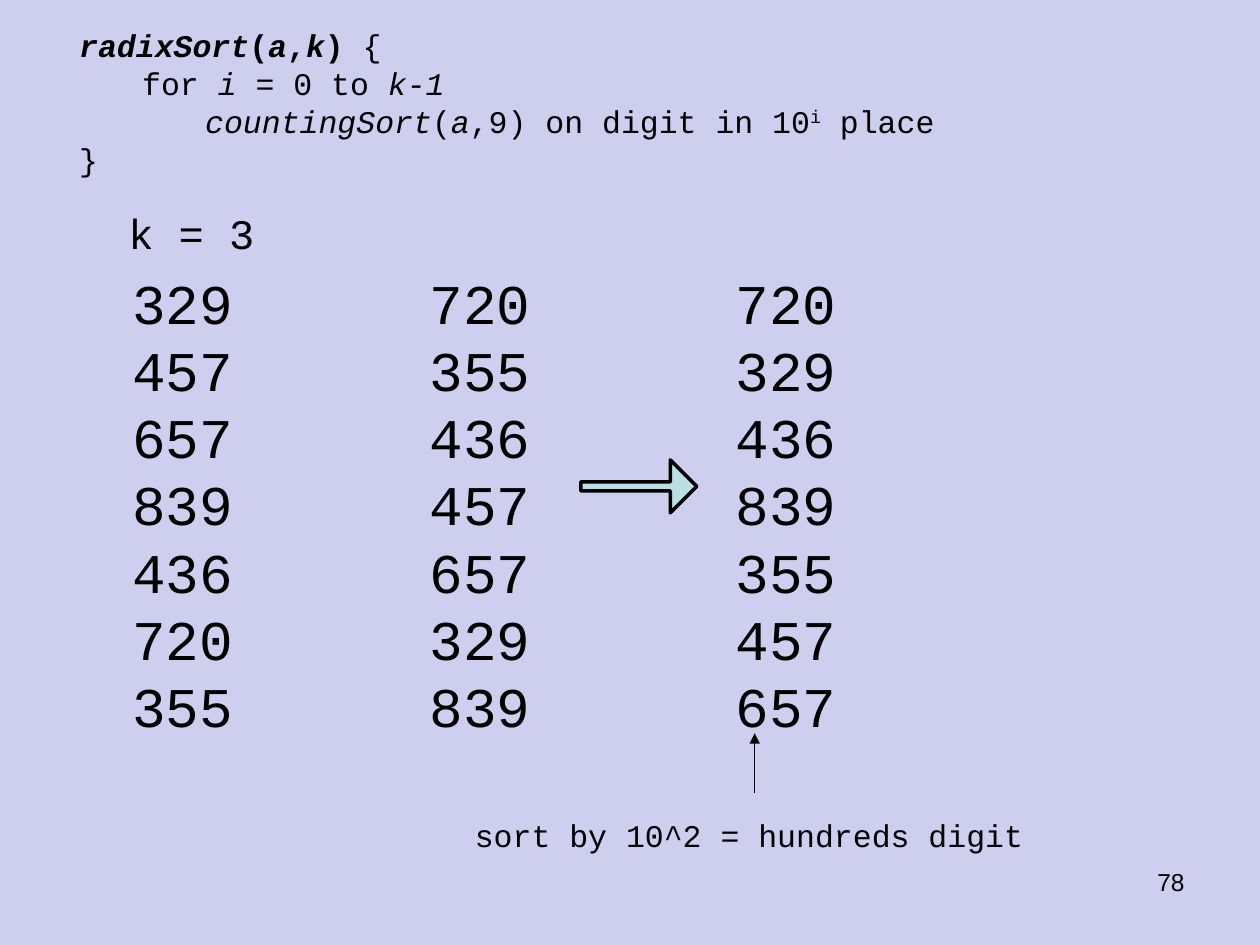
from dataclasses import dataclass

from lxml import etree
from pptx import Presentation
from pptx.dml.color import RGBColor
from pptx.enum.shapes import MSO_CONNECTOR as CONN, MSO_SHAPE as SHAPE
from pptx.enum.text import PP_ALIGN as ALIGN
from pptx.oxml.ns import qn
from pptx.util import Inches, Pt


@dataclass(frozen=True)
class Theme:
    bg: RGBColor = RGBColor(0xCE, 0xCE, 0xEF)
    ink: RGBColor = RGBColor(0, 0, 0)
    arrow: RGBColor = RGBColor(0xBB, 0xE0, 0xE3)
    mono: str = "Courier New"
    sans: str = "Arial"
    code: int = 18
    label: int = 24
    number: int = 32
    page: int = 14


THEME = Theme()
BOLD = {"bold": True}
ITALIC = {"italic": True}
BOLD_ITALIC = BOLD | ITALIC

CODE = [
    [("radixSort", BOLD_ITALIC), ("(", BOLD), ("a", BOLD_ITALIC), (",", BOLD),
     ("k", BOLD_ITALIC), (")", BOLD), (" {", {})],
    [("\tfor ", {}), ("i", ITALIC), (" = 0 to ", {}), ("k-1", ITALIC)],
    [("\t\t", {}), ("countingSort", ITALIC), ("(", {}), ("a", ITALIC),
     (",9) on digit in 10", {}), ("i", {"baseline": 30000}), (" place", {})],
    [("}", {})],
]
COLUMNS = [
    (0.95, [329, 457, 657, 839, 436, 720, 355]),
    (3.31, [720, 355, 436, 457, 657, 329, 839]),
    (5.74, [720, 329, 436, 839, 355, 457, 657]),
]


def add_text(slide, box, lines, size, font=THEME.mono, align=ALIGN.LEFT, wrap=True):
    tf = slide.shapes.add_textbox(*map(Inches, box)).text_frame
    tf.word_wrap = wrap
    for n, runs in enumerate(lines):
        p = tf.paragraphs[0] if n == 0 else tf.add_paragraph()
        p.alignment = align
        for text, extra in runs:
            r = p.add_run()
            r.text = text
            values = {"name": font, "size": Pt(size)} | extra
            baseline = values.pop("baseline", None)
            for key, value in values.items():
                setattr(r.font, key, value)
            r.font.color.rgb = THEME.ink
            if baseline:
                r._r.get_or_add_rPr().set("baseline", str(baseline))


def plain(*lines):
    return [[(str(line), {})] for line in lines]


def add_passes(slide, left, top):
    add_text(slide, (left + 0.92, top, 1.21, 0.5), plain("k = 3"), THEME.label, wrap=False)
    for x, numbers in COLUMNS:
        add_text(slide, (left + x, top + 0.48, 1.01, 3.87), plain(*numbers),
                 THEME.number, wrap=False)
    add_block_arrow(slide, (left + 4.61, top + 2.05, 0.92, 0.42))


def add_block_arrow(slide, box):
    sp = slide.shapes.add_shape(SHAPE.RIGHT_ARROW, *map(Inches, box))
    sp.shadow.inherit = False
    sp.adjustments[0] = 0.17
    sp.adjustments[1] = 0.5
    sp.fill.solid()
    sp.fill.fore_color.rgb = THEME.arrow
    sp.line.color.rgb = THEME.ink
    sp.line.width = Pt(2)


def add_digit_note(slide, left, top):
    x = left + 2.32
    line = slide.shapes.add_connector(
        CONN.STRAIGHT, *map(Inches, (x, top + 0.47, x, top)))
    line.line.color.rgb = THEME.ink
    line.line.width = Pt(0.75)
    etree.SubElement(line.line._get_or_add_ln(), qn("a:tailEnd"), type="triangle")
    etree.SubElement(line._element.spPr, qn("a:effectLst"))
    add_text(slide, (left, top + 0.61, 6.49, 0.4),
             plain("sort by 10^2 = hundreds digit"), THEME.code)


def main():
    prs = Presentation()
    prs.slide_width, prs.slide_height = Inches(10), Inches(7.5)
    slide = prs.slides.add_slide(prs.slide_layouts[6])
    slide.background.fill.solid()
    slide.background.fill.fore_color.rgb = THEME.bg
    add_text(slide, (0.53, 0.16, 9.08, 1.3), CODE, THEME.code)
    add_passes(slide, 0, 1.6)
    add_digit_note(slide, 3.67, 5.82)
    add_text(slide, (7.17, 6.83, 2.33, 0.52), plain(78), THEME.page, THEME.sans, ALIGN.RIGHT)
    prs.save("out.pptx")


if __name__ == "__main__":
    main()
